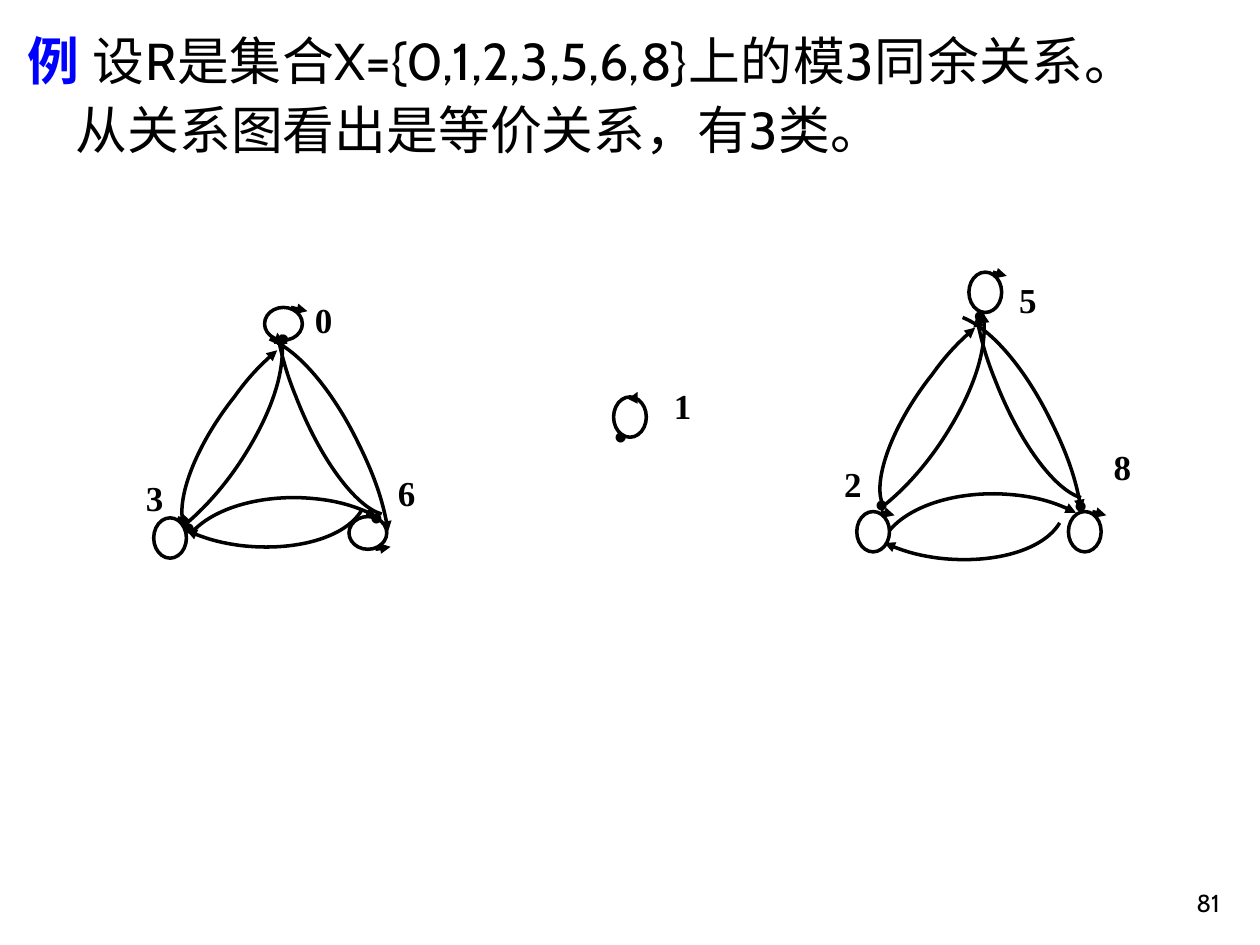
from dataclasses import dataclass

from lxml import etree
from pptx import Presentation
from pptx import util as u
from pptx.dml.color import RGBColor
from pptx.enum import shapes, text
from pptx.oxml import ns

PX = u.Inches(1) // 100
COLORS = {"ink": "000000", "keyword": "0000FF"}
WIDE, TALL = (30, 26), (26, 32)
TIP = (19, 0, 30, 3)
ARCS = [
    [(40, 185), (56, 172), (73, 153), (87, 131), (110, 95), (122, 56), (117, 33)],
    [(40, 185), (33, 165), (49, 122), (80, 83), (90, 69), (102, 56), (114, 46)],
    [(45, 192), (61, 173), (95, 162), (132, 163), (155, 164), (176, 169), (193, 178)],
    [(181, 173), (168, 195), (128, 206), (85, 201), (70, 199), (55, 195), (42, 189)],
    [(108, 37), (131, 46), (158, 78), (178, 119), (190, 143), (199, 168), (202, 190)],
    [(197, 176), (176, 170), (148, 132), (129, 83), (122, 66), (117, 48), (114, 32)],
]


@dataclass
class Node:
    """A labelled vertex with a dot and a self-loop, placed within its class."""
    name: str
    label: tuple
    dot: tuple
    loop: tuple
    size: tuple = TALL
    tip: tuple = TIP


def color(name):
    """Return a named colour."""
    return RGBColor.from_string(COLORS[name])


def px(*lengths):
    """Turn px lengths into EMU."""
    return [u.Emu(length * PX) for length in lengths]


def set_line(shape, arrow=False):
    """Draw a black outline, with an arrowhead at its end if wanted."""
    shape.line.color.rgb = color("ink")
    shape.line.width = u.Pt(2)
    if arrow:
        etree.SubElement(shape.line._get_or_add_ln(), ns.qn("a:tailEnd"), type="triangle")


def add_text(slide, box, content, font_name, size, bold=False,
             align=text.PP_ALIGN.JUSTIFY, anchor=text.MSO_ANCHOR.TOP):
    """Add a one-paragraph text box."""
    frame = slide.shapes.add_textbox(*px(*box)).text_frame
    frame.word_wrap = True
    frame.vertical_anchor = anchor
    paragraph = frame.paragraphs[0]
    paragraph.text = content
    paragraph.alignment = align
    font = paragraph.font
    font.name, font.size, font.bold = font_name, u.Pt(size), bold
    font.color.rgb = color("ink")


def add_arc(slide, points):
    """Add a curved arrow whose points are a start and Bezier triples."""
    builder = slide.shapes.build_freeform(*points[0], scale=PX)
    builder.add_line_segments(points[1:], close=False)
    shape = builder.convert_to_shape()
    shape.shadow.inherit = False
    shape.fill.background()
    set_line(shape, arrow=True)
    segments = list(shape._element.iter(ns.qn("a:lnTo")))
    for first in range(0, len(segments), 3):
        curve = etree.Element(ns.qn("a:cubicBezTo"))
        segments[first].addprevious(curve)
        for segment in segments[first:first + 3]:
            curve.append(segment[0])
            segment.getparent().remove(segment)


def add_node(slide, left, top, node):
    """Add the dot, self-loop, loop arrow and label of one vertex."""
    dot_x, dot_y = node.dot
    add_text(slide, (left + dot_x, top + dot_y, 51, 98), "•", "Arial", 20, True)

    loop_x, loop_y = left + node.loop[0], top + node.loop[1]
    x1, y1, x2, y2 = node.tip
    arrow = slide.shapes.add_connector(
        shapes.MSO_CONNECTOR.STRAIGHT,
        *px(loop_x + x1, loop_y + y1, loop_x + x2, loop_y + y2))
    set_line(arrow, arrow=True)
    etree.SubElement(arrow._element.spPr, ns.qn("a:effectLst"))

    loop = slide.shapes.add_shape(shapes.MSO_SHAPE.OVAL, *px(loop_x, loop_y, *node.size))
    loop.shadow.inherit = False
    loop.fill.background()
    set_line(loop)

    label_x, label_y = node.label
    add_text(slide, (left + label_x, top + label_y, 79, 63), node.name,
             "Times New Roman", 20, True)


def add_class(slide, left, top, nodes, shifts=()):
    """Add one equivalence class: an arc for each shift, then its nodes."""
    for arc, (shift_x, shift_y) in zip(ARCS, shifts):
        add_arc(slide, [(left + shift_x + x, top + shift_y + y) for x, y in arc])
    for node in nodes:
        add_node(slide, left, top, node)


def add_statement(slide, box):
    """Fill the body placeholder with the example's statement."""
    body = slide.placeholders[1]
    body.left, body.top, body.width, body.height = px(*box)
    frame = body.text_frame
    frame.auto_size = text.MSO_AUTO_SIZE.NONE
    paragraph = frame.paragraphs[0]
    paragraph.alignment = text.PP_ALIGN.JUSTIFY
    paragraph.line_spacing = 1.1
    paragraph.space_before = u.Pt(0)
    properties = paragraph._p.get_or_add_pPr()
    properties.set("marL", str(38 * PX))
    properties.set("indent", str(-38 * PX))
    etree.SubElement(properties, ns.qn("a:buNone"))
    statement = "设R是集合X={0,1,2,3,5,6,8}上的模3同余关系。从关系图看出是等价关系，有3类。"
    for content, bold, name in [("例 ", True, "keyword"), (statement, False, "ink")]:
        run = paragraph.add_run()
        run.text = content
        run.font.name, run.font.size, run.font.bold = "Cabin", u.Pt(29.6), bold
        run.font.color.rgb = color(name)


def main():
    """Build and save the slide."""
    presentation = Presentation()
    presentation.slide_width, presentation.slide_height = px(1000, 750)
    slide = presentation.slides.add_slide(presentation.slide_layouts[1])
    title = slide.shapes.title._element
    title.getparent().remove(title)

    add_text(slide, (770, 683, 208, 50), "81", "Cabin", 14,
             align=text.PP_ALIGN.RIGHT, anchor=text.MSO_ANCHOR.BOTTOM)
    add_statement(slide, (12, 13, 900, 176))
    add_class(slide, 106, 232, [
        Node("6", (200, 137), (178, 156), (171, 178), WIDE, (21, 26, 33, 24)),
        Node("3", (0, 141), (29, 164), (16, 179)),
        Node("0", (134, 0), (104, 14), (104, 12), WIDE, (21, 0, 34, 3)),
    ], [(0, 0)] * len(ARCS))
    add_class(slide, 478, 300, [Node("1", (47, 0), (0, 24), (9, 15), tip=(17, 0, 19, -4))])
    add_class(slide, 660, 215, [
        Node("8", (214, 134), (183, 164), (188, 191)),
        Node("2", (0, 147), (25, 163), (20, 191)),
        Node("5", (139, 1), (103, 13), (109, 1)),
    ], [(3, 0), (0, -1), (1, 14), (0, 27), (-4, 0), (1, 4)])
    presentation.save("out.pptx")


if __name__ == "__main__":
    main()
